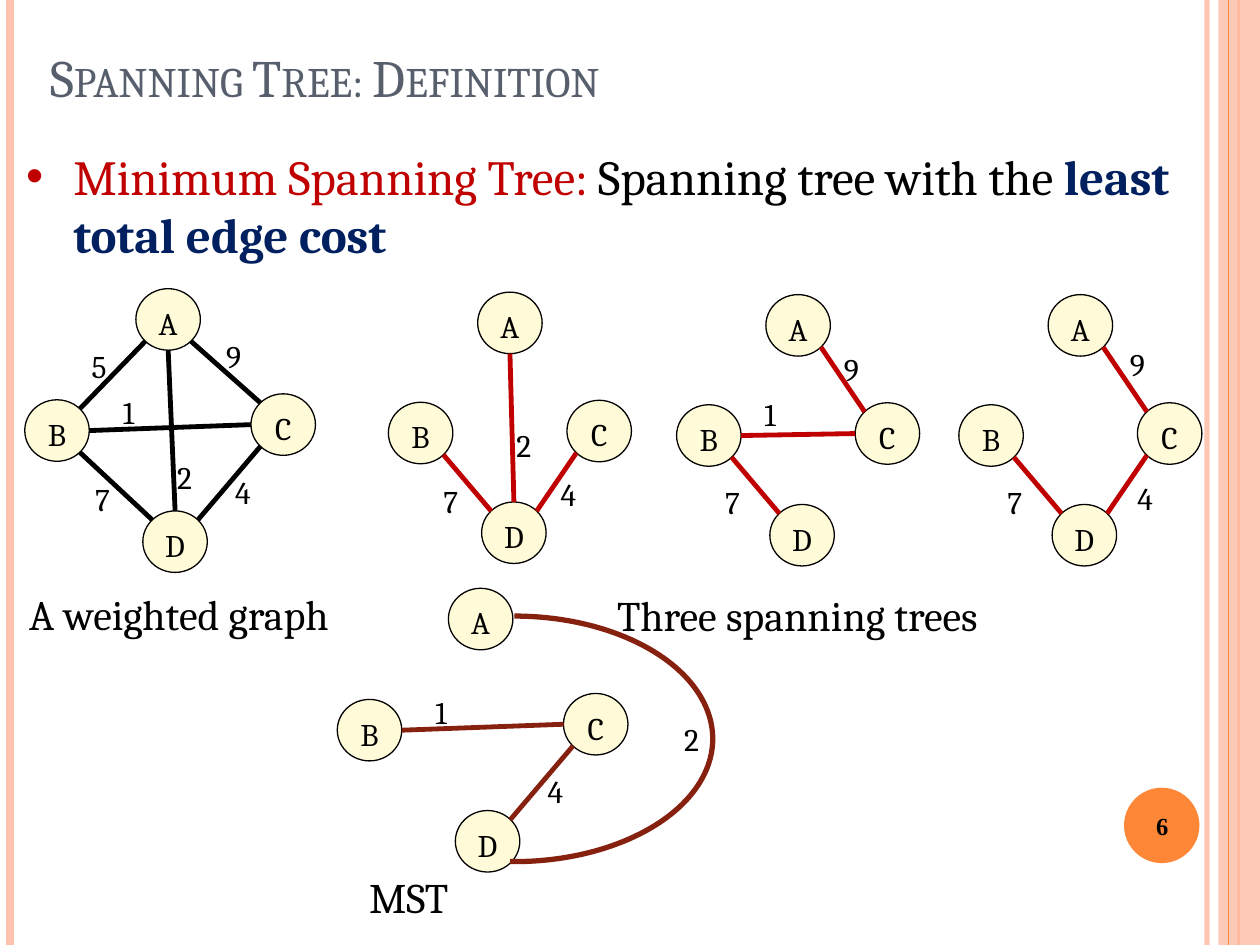
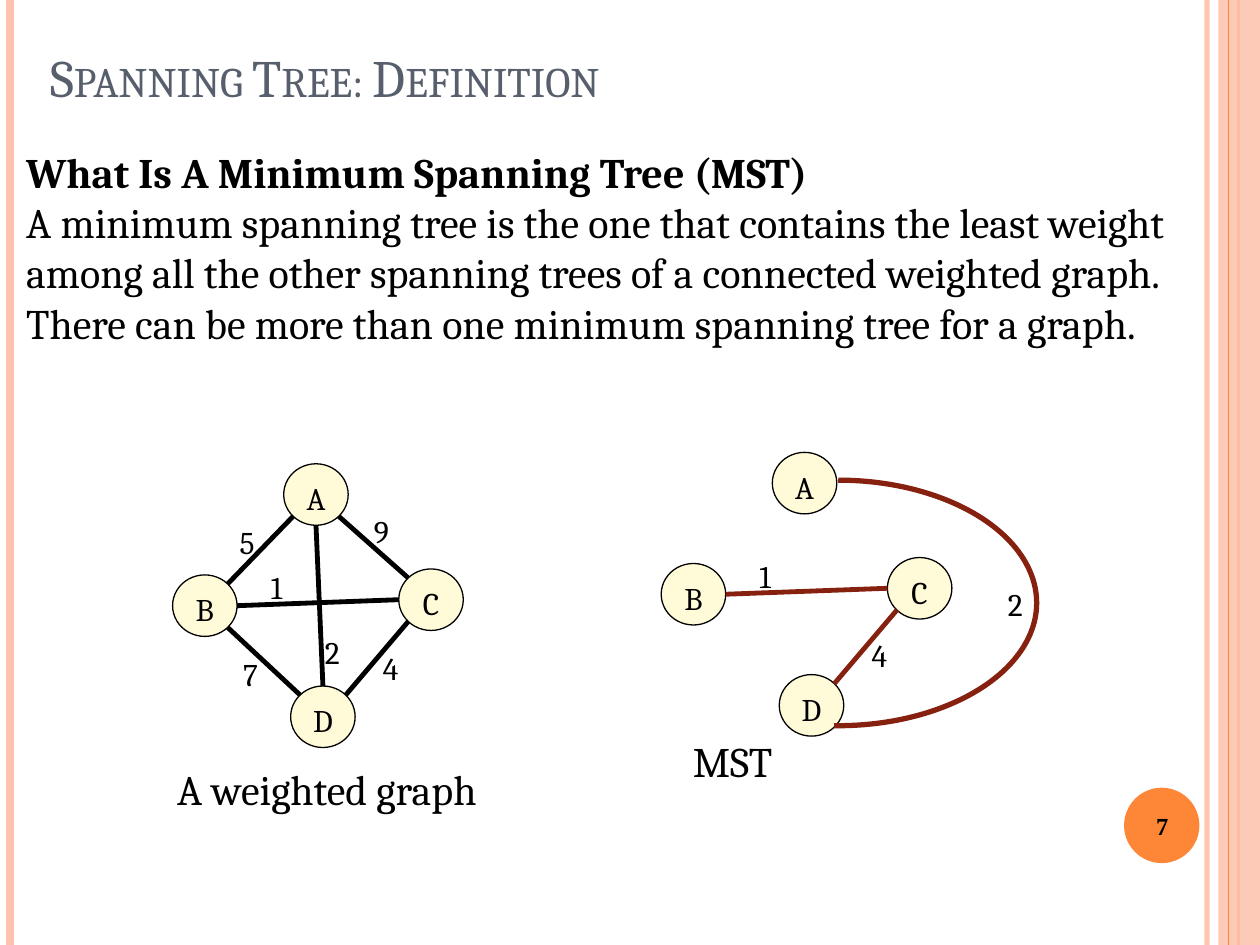
from dataclasses import dataclass
from math import hypot

from lxml import etree
from pptx import Presentation
from pptx.dml.color import RGBColor
from pptx.enum.shapes import MSO_CONNECTOR, MSO_SHAPE
from pptx.enum.text import MSO_ANCHOR, PP_ALIGN
from pptx.oxml.ns import qn
from pptx.util import Cm, Pt

STRAIGHT = MSO_CONNECTOR.STRAIGHT
OVAL, RECTANGLE, ARC = MSO_SHAPE.OVAL, MSO_SHAPE.RECTANGLE, MSO_SHAPE.ARC
TOP, MIDDLE, BOTTOM = MSO_ANCHOR.TOP, MSO_ANCHOR.MIDDLE, MSO_ANCHOR.BOTTOM
LEFT, CENTER = PP_ALIGN.LEFT, PP_ALIGN.CENTER


@dataclass(frozen=True)
class Theme:
    font: str = "Cambria"
    number_font: str = "Times New Roman"
    black: str = "000000"
    title: str = "575F6D"
    band: str = "FEC3AE"
    accent: str = "FE8637"
    node: str = "FFFAD8"
    red: str = "C00000"
    navy: str = "002060"
    brown: str = "862110"
    title_size: int = 30
    lead_size: int = 28
    body_size: int = 24
    label_size: int = 18
    number_size: int = 14
    node_line: float = 0.75
    edge_line: float = 2.75
    arc_line: float = 3


THEME = Theme()
SLIDE_WIDTH, SLIDE_HEIGHT = 25.4, 19.05
NODE_WIDTH, NODE_HEIGHT = 1.3, 1.24
BODY_BOX = (0.28, 2.82, 23.9, 2.62)

WEIGHTS = {"AB": 5, "AC": 9, "AD": 2, "BC": 1, "BD": 7, "CD": 4}
EDGE_SIDES = {
    "AB": ((-1, 1), (1, -1)),
    "AC": ((1, 1), (-1, -1)),
    "AD": ((0, 1), (0, -1)),
    "BC": ((1, 0), (-1, 0)),
    "BD": ((1, 1), (-1, -1)),
    "CD": ((-1, 1), (1, -1)),
}

WIDE_NODES = {"A": (0, 0), "B": (-2.24, 2.24), "C": (2.32, 2.12), "D": (0.14, 4.48)}
TREE_NODES = {"A": (0, 0), "B": (-1.8, 2.22), "C": (1.8, 2.18), "D": (0.08, 4.23)}
GRAPH_LABELS = {
    "AB": (-1.14, 1.06), "AC": (1.57, 0.84), "AD": (0.58, 3.28),
    "BC": (-0.51, 1.98), "BD": (-1.07, 3.73), "CD": (1.75, 3.6),
}
MST_LABELS = {"AD": (4.5, 2.54), "BC": (-0.51, 1.98), "CD": (1.75, 3.58)}
SPANNING_TREES = [
    ((9.63, 5.89), {"AD": (0.53, 2.57), "BD": (-0.94, 3.71), "CD": (1.42, 3.56)}),
    ((15.44, 5.94), {"AC": (1.32, 0.99), "BC": (-0.28, 1.9), "BD": (-1.07, 3.68)}),
    ((21.13, 5.94), {"AC": (1.4, 0.89), "BD": (-1.07, 3.68), "CD": (1.55, 3.6)}),
]


def set_alpha(color_format_parent, percent):
    for color in color_format_parent.iter(qn("a:srgbClr")):
        etree.SubElement(color, qn("a:alpha")).set("val", str(percent * 1000))


def write_text(shape, paragraphs, size=THEME.body_size, color=THEME.black,
               font=THEME.font, bold=False, align=LEFT, anchor=TOP,
               small_caps=False, bullet=None):
    frame = shape.text_frame
    frame.word_wrap = True
    frame.vertical_anchor = anchor
    if isinstance(paragraphs, str):
        paragraphs = [[(paragraphs, {})]]
    for index, pieces in enumerate(paragraphs):
        paragraph = frame.add_paragraph() if index else frame.paragraphs[0]
        paragraph.alignment = align
        for text, changes in pieces:
            run = paragraph.add_run()
            run.text = text
            run.font.size = Pt(size)
            run.font.name = font
            run.font.bold = changes.get("bold", bold)
            run.font.color.rgb = RGBColor.from_string(changes.get("color", color))
            if small_caps:
                run.font._element.set("cap", "small")
        if bullet:
            properties = paragraph._p.get_or_add_pPr()
            properties.set("marL", str(Cm(0.95)))
            properties.set("indent", str(Cm(-0.95)))
            etree.SubElement(properties, qn("a:buFont")).set("typeface", "Arial")
            etree.SubElement(properties, qn("a:buChar")).set("char", bullet)


class Deck:
    def __init__(self, theme):
        self.theme = theme
        self.presentation = Presentation()
        self.presentation.slide_width = Cm(SLIDE_WIDTH)
        self.presentation.slide_height = Cm(SLIDE_HEIGHT)
        self.slide = None

    def text(self, box, paragraphs, **style):
        shape = self.slide.shapes.add_textbox(*map(Cm, box))
        write_text(shape, paragraphs, **style)

    def shape(self, kind, box, fill=None, line=None, width=None, alpha=None):
        shape = self.slide.shapes.add_shape(kind, *map(Cm, box))
        shape.shadow.inherit = False
        if fill:
            shape.fill.solid()
            shape.fill.fore_color.rgb = RGBColor.from_string(fill)
        else:
            shape.fill.background()
        if line:
            shape.line.color.rgb = RGBColor.from_string(line)
            shape.line.width = Pt(width)
        else:
            shape.line.fill.background()
        if alpha:
            set_alpha(shape._element.spPr, alpha)
        return shape

    def line(self, start, end, color, width, alpha=None):
        connector = self.slide.shapes.add_connector(
            STRAIGHT, *map(Cm, (*start, *end)))
        connector.line.color.rgb = RGBColor.from_string(color)
        connector.line.width = Pt(width)
        properties = connector._element.spPr
        if alpha:
            set_alpha(properties, alpha)
        etree.SubElement(properties, qn("a:effectLst"))

    def band(self, x, color, width, alpha=None):
        self.line((x, 0), (x, SLIDE_HEIGHT), color, width, alpha)

    def new_slide(self, title, number):
        theme = self.theme
        layout = self.presentation.slide_layouts[6]
        self.slide = self.presentation.slides.add_slide(layout)
        self.band(24.33, theme.band, 3, 93)
        self.band(0.2, theme.band, 4.5)
        self.band(24.97, theme.accent, 1.5)
        self.shape(RECTANGLE, (24.56, 0, 0.84, SLIDE_HEIGHT), theme.band, alpha=87)
        self.band(24.77, theme.accent, 0.75)
        self.shape(OVAL, (22.66, 15.88, 1.52, 1.52), theme.accent)
        self.text((22.58, 15.93, 1.7, 1.45), str(number), size=theme.number_size,
                  font=theme.number_font, bold=True, align=CENTER, anchor=MIDDLE)
        self.text((0.76, 0.38, 24.23, 1.93), title, size=theme.title_size,
                  color=theme.title, anchor=BOTTOM, small_caps=True)

    def node(self, name, x, y):
        theme = self.theme
        circle = self.shape(OVAL, (x, y, NODE_WIDTH, NODE_HEIGHT), theme.node,
                            theme.black, theme.node_line)
        write_text(circle, name, size=theme.label_size, align=CENTER)

    def graph(self, origin, nodes, labels, color, curved=()):
        left, top = origin
        places = {name: (left + x, top + y) for name, (x, y) in nodes.items()}
        for name, place in places.items():
            self.node(name, *place)
        for edge in labels:
            if edge not in curved:
                ends = [rim_point(places[name], side)
                        for name, side in zip(edge, EDGE_SIDES[edge])]
                self.line(*ends, color, self.theme.edge_line)
        for edge, (x, y) in labels.items():
            self.text((left + x, top + y, 0.91, 1.02), str(WEIGHTS[edge]),
                      size=self.theme.label_size)

    def weighted_graph(self, left, top):
        self.graph((left, top), WIDE_NODES, GRAPH_LABELS, self.theme.black)
        self.text((left - 2.4, top + 5.92, 7.72, 1.5), "A weighted graph")

    def minimum_tree(self, left, top):
        theme = self.theme
        self.graph((left, top), WIDE_NODES, MST_LABELS, theme.brown, curved=("AD",))
        self.text((left - 1.85, top + 5.59, 7.72, 0.84), "MST")
        arc = self.shape(ARC, (left - 2.67, top + 0.56, 8, 4.95),
                         line=theme.brown, width=theme.arc_line)
        arc.adjustments[0] = 162
        arc.adjustments[1] = 55.155


def rim_point(place, side):
    x, y = place
    across, down = side
    reach = hypot(across, down)
    return (x + NODE_WIDTH / 2 * (1 + across / reach),
            y + NODE_HEIGHT / 2 * (1 + down / reach))


def build_spanning_trees(deck):
    theme = deck.theme
    deck.new_slide("Spanning Tree: Definition", 6)
    deck.weighted_graph(2.74, 5.82)
    deck.text((12.19, 11.76, 8.89, 1.3), "Three spanning trees")
    for origin, labels in SPANNING_TREES:
        deck.graph(origin, TREE_NODES, labels, theme.red)
    deck.text(BODY_BOX, [[
        ("Minimum Spanning Tree: ", {"color": theme.red}),
        ("Spanning tree with the ", {}),
        ("least total edge cost", {"color": theme.navy, "bold": True}),
    ]], size=theme.lead_size, bullet="•")
    deck.minimum_tree(9.04, 11.86)


def build_minimum_tree(deck):
    deck.new_slide("Spanning Tree: Definition", 7)
    deck.weighted_graph(5.72, 9.35)
    deck.text(BODY_BOX, [
        [("What Is A Minimum Spanning Tree (MST)", {"bold": True})],
        [("A minimum spanning tree is the one that contains the least weight "
          "among all the other spanning trees of a connected weighted graph. "
          "There can be more than one minimum spanning tree for a graph.", {})],
    ])
    deck.minimum_tree(15.57, 9.12)


def main():
    deck = Deck(THEME)
    build_spanning_trees(deck)
    build_minimum_tree(deck)
    deck.presentation.save("out.pptx")


if __name__ == "__main__":
    main()
